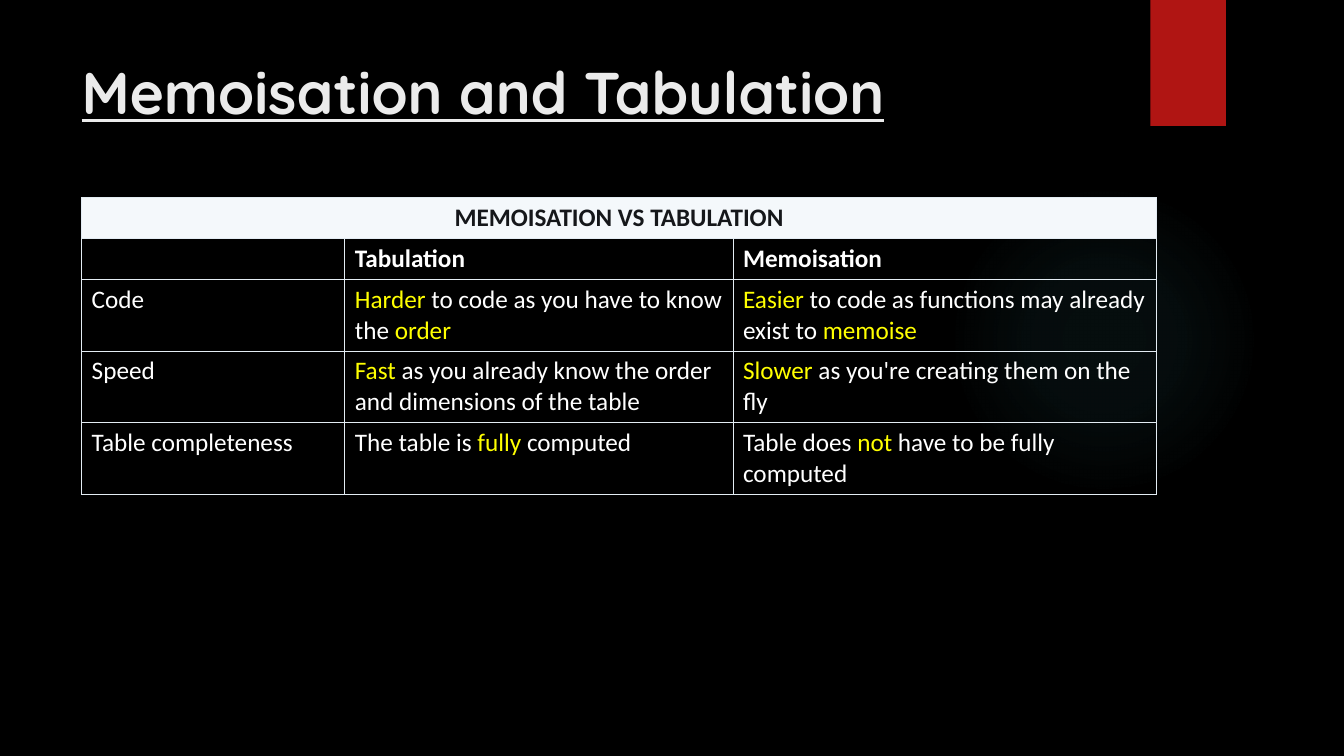
from pptx import Presentation
from pptx import oxml
from pptx.dml.color import RGBColor
from pptx.enum import shapes, text
from pptx.oxml import ns
from pptx.util import Inches, Pt

BLACK = RGBColor(0x00, 0x00, 0x00)
WHITE = RGBColor(0xFF, 0xFF, 0xFF)
YELLOW = RGBColor(0xFF, 0xFF, 0x00)
RED = RGBColor(0xB0, 0x15, 0x13)
TITLE_GREY = RGBColor(0xEB, 0xEB, 0xEB)
HEADER_FILL = RGBColor(0xF4, 0xF8, 0xFB)
HEADER_TEXT = RGBColor(0x15, 0x17, 0x1A)
BORDER = RGBColor(0xE3, 0xEC, 0xF3)
GLOW = RGBColor(0x50, 0xB9, 0xC1)

COLUMN_WIDTHS = [2.61, 3.85, 4.2]
ROW_HEIGHTS = [0.4, 0.4, 0.71, 0.71, 0.71]
TABLE_HEADING = "MEMOISATION VS TABULATION"
# Words between asterisks are highlighted.
TABLE_ROWS = [
    ["", "Tabulation", "Memoisation"],
    ["Code",
     "*Harder* to code as you have to know the *order*",
     "*Easier* to code as functions may already exist to *memoise*"],
    ["Speed",
     "*Fast* as you already know the order and dimensions of the table",
     "*Slower* as you're creating them on the fly"],
    ["Table completeness",
     "The table is *fully* computed",
     "Table does *not* have to be fully computed"],
]


def write_text(frame, content, size=18, font="Calibri", color=WHITE, bold=False,
               underline=False, align=text.PP_ALIGN.LEFT):
    """Fill the first paragraph, colouring the words between asterisks yellow."""
    paragraph = frame.paragraphs[0]
    paragraph.alignment = align
    for index, part in enumerate(content.split("*")):
        if part:
            run = paragraph.add_run()
            run.text = part
            run.font.size = Pt(size)
            run.font.name = font
            run.font.bold = bold
            run.font.underline = underline
            run.font.color.rgb = YELLOW if index % 2 else color


def add_plain_shape(slide, kind, left, top, width, height):
    shape = slide.shapes.add_shape(kind, Inches(left), Inches(top),
                                   Inches(width), Inches(height))
    shape.shadow.inherit = False
    shape.line.fill.background()
    return shape


def add_glow(slide, left, top, size):
    glow = add_plain_shape(slide, shapes.MSO_SHAPE.OVAL, left, top, size, size)
    stops = "".join(
        f'<a:gs pos="{position * 1000}"><a:srgbClr val="{GLOW}">'
        f'<a:alpha val="{opacity * 1000}"/></a:srgbClr></a:gs>'
        for position, opacity in [(0, 7), (36, 6), (69, 0), (100, 0)])
    gradient = oxml.parse_xml(
        f'<a:gradFill {ns.nsdecls("a")} rotWithShape="1"><a:gsLst>{stops}</a:gsLst>'
        '<a:path path="circle"><a:fillToRect l="50000" t="50000" r="50000" b="50000"/>'
        '</a:path></a:gradFill>')
    glow._element.spPr.find(ns.qn("a:prstGeom")).addnext(gradient)


def add_ribbon(slide, left, top, width, height):
    ribbon = add_plain_shape(slide, shapes.MSO_SHAPE.RECTANGLE, left, top, width, height)
    ribbon.fill.solid()
    ribbon.fill.fore_color.rgb = RED


def place_title(slide, left, top, width, height):
    title = slide.shapes.title
    title.left, title.top = Inches(left), Inches(top)
    title.width, title.height = Inches(width), Inches(height)
    title.text_frame.word_wrap = True
    title.text_frame.vertical_anchor = text.MSO_ANCHOR.TOP
    write_text(title.text_frame, "Memoisation and Tabulation", size=42,
               font="Quicksand", color=TITLE_GREY, bold=True, underline=True)


def style_cell(cell, fill=None):
    properties = cell._tc.get_or_add_tcPr()
    for side in ("lnL", "lnR", "lnT", "lnB"):
        properties.append(oxml.parse_xml(
            f'<a:{side} {ns.nsdecls("a")} w="{Pt(0.6)}"><a:solidFill>'
            f'<a:srgbClr val="{BORDER}"/></a:solidFill></a:{side}>'))
    if fill is None:
        cell.fill.background()
    else:
        cell.fill.solid()
        cell.fill.fore_color.rgb = fill


def add_comparison_table(slide, left, top):
    frame = slide.shapes.add_table(
        len(ROW_HEIGHTS), len(COLUMN_WIDTHS), Inches(left), Inches(top),
        Inches(sum(COLUMN_WIDTHS)), Inches(sum(ROW_HEIGHTS)))
    table = frame.table
    table.first_row = table.horz_banding = False
    for column, width in zip(table.columns, COLUMN_WIDTHS):
        column.width = Inches(width)
    for row, height in zip(table.rows, ROW_HEIGHTS):
        row.height = Inches(height)

    heading = table.cell(0, 0)
    heading.merge(table.cell(0, len(COLUMN_WIDTHS) - 1))
    for cell in table.rows[0].cells:
        style_cell(cell, HEADER_FILL)
    write_text(heading.text_frame, TABLE_HEADING, color=HEADER_TEXT, bold=True,
               align=text.PP_ALIGN.CENTER)

    for row_index, contents in enumerate(TABLE_ROWS, start=1):
        for cell, content in zip(table.rows[row_index].cells, contents):
            style_cell(cell)
            write_text(cell.text_frame, content, bold=row_index == 1)


def main():
    presentation = Presentation()
    presentation.slide_width = Inches(13.33)
    presentation.slide_height = Inches(7.5)
    slide = presentation.slides.add_slide(presentation.slide_layouts[5])
    slide.background.fill.solid()
    slide.background.fill.fore_color.rgb = BLACK
    add_glow(slide, 9.41, 1.83, 3.08)
    add_ribbon(slide, 11.41, 0, 0.75, 1.25)
    place_title(slide, 0.71, 0.5, 10.29, 1.53)
    add_comparison_table(slide, 0.81, 1.96)
    presentation.save("out.pptx")


if __name__ == "__main__":
    main()
